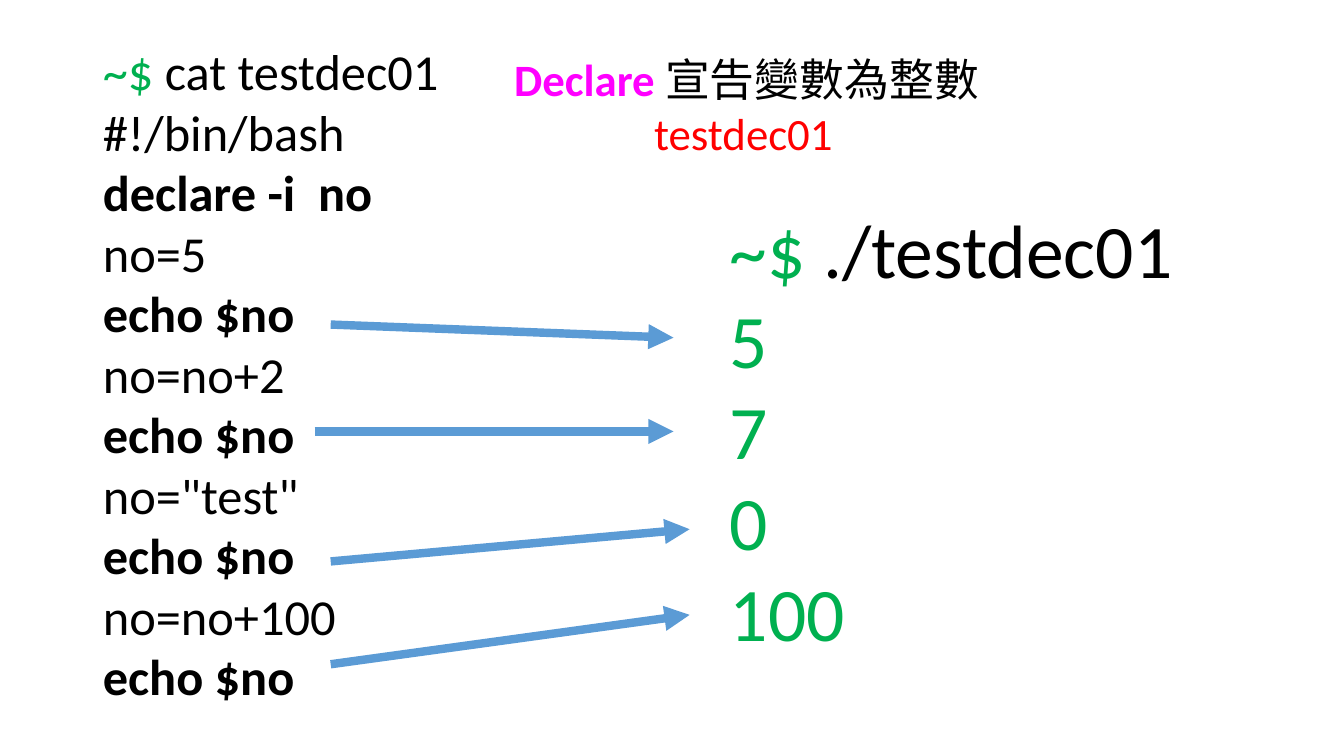
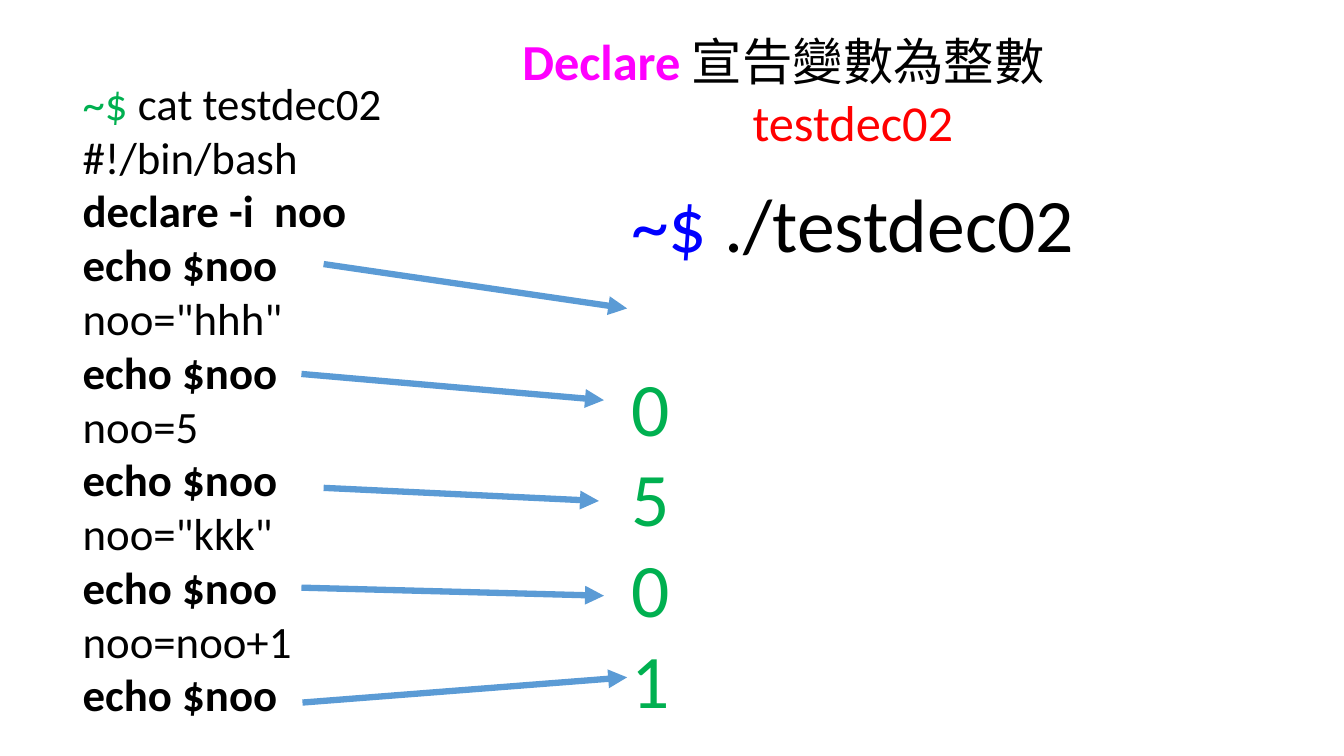
from lxml.etree import SubElement
from pptx import Presentation
from pptx.dml.color import RGBColor
from pptx.enum.shapes import MSO_CONNECTOR
from pptx.enum.text import PP_ALIGN
from pptx.oxml.ns import qn
from pptx.util import Pt

PX = 9144  # 100 px to the inch
FONT = "Calibri"
COLORS = {
    "keyword": "FF00FF",
    "name": "FF0000",
    "text": "000000",
    "green": "00B050",
    "blue": "0000FF",
    "arrow": "5B9BD5",
}


def add_text(page, area, paragraphs, size, centered=(), gaps=None):
    """Each paragraph is a list of (text, color, bold); gaps maps index to points above."""
    box = page.shapes.add_textbox(*(value * PX for value in area))
    frame = box.text_frame
    frame.word_wrap = True
    frame.margin_left = frame.margin_right = 4 * PX
    frame.margin_top = frame.margin_bottom = 4 * PX
    for index, spans in enumerate(paragraphs):
        para = frame.paragraphs[0] if index == 0 else frame.add_paragraph()
        para.alignment = PP_ALIGN.CENTER if index in centered else PP_ALIGN.LEFT
        para.space_before = Pt((gaps or {}).get(index, 0))
        for text, color, bold in spans:
            span = para.add_run()
            span.text = text
            span.font.name = FONT
            span.font.size = Pt(size)
            span.font.bold = bold
            span.font.color.rgb = RGBColor.from_string(COLORS[color])


def add_arrow(page, start, end, width):
    arrow = page.shapes.add_connector(
        MSO_CONNECTOR.STRAIGHT, *(value * PX for value in start + end))
    arrow.line.color.rgb = RGBColor.from_string(COLORS["arrow"])
    arrow.line.width = Pt(width)
    SubElement(arrow.line._get_or_add_ln(), qn("a:tailEnd"), type="triangle")
    SubElement(arrow._element.spPr, qn("a:effectLst"))


# Content of the two examples
examples = [
    {
        "script": "testdec01",
        "title_name": "testdec01 ",
        "title_area": (506, 47, 473, 115),
        "title_size": 32,
        "code_area": (98, 36, 344, 674),
        "code_size": 36,
        "code": ["#!/bin/bash", "declare -i  no", "no=5", "echo $no", "no=no+2",
                 "echo $no", 'no="test"', "echo $no", "no=no+100", "echo $no"],
        "result_area": (720, 197, 451, 462),
        "prompt_color": "green",
        "results": ["5", "7", "0", "100"],
        "gaps": {},
        "arrow_width": 6,
        "arrows": [((328, 322), (668, 335)), ((312, 428), (668, 428)),
                   ((328, 557), (684, 525)), ((328, 659), (684, 610))],
    },
    {
        "script": "testdec02",
        "title_name": "testdec02",
        "title_area": (514, 26, 664, 129),
        "title_size": 36,
        "code_area": (78, 71, 307, 654),
        "code_size": 32,
        "code": ["#!/bin/bash", "declare -i  noo", "echo $noo", 'noo="hhh"',
                 "echo $noo", "noo=5", "echo $noo", 'noo="kkk"', "echo $noo",
                 "noo=noo+1", "echo $noo"],
        "result_area": (622, 172, 451, 553),
        "prompt_color": "blue",
        "results": ["0", "5", "0", "1"],
        "gaps": {1: 66},  # the first echo prints an empty line
        "arrow_width": 4.5,
        "arrows": [((321, 262), (622, 306)), ((299, 371), (599, 397)),
                   ((321, 484), (594, 497)), ((299, 583), (599, 591)),
                   ((300, 697), (622, 672))],
    },
]

deck = Presentation()
deck.slide_width = 1333 * PX
deck.slide_height = 750 * PX

for example in examples:
    page = deck.slides.add_slide(deck.slide_layouts[6])

    # Title
    title = [
        [("Declare ", "keyword", True), ("宣告變數為整數", "text", False)],
        [(example["title_name"], "name", False)],
    ]
    add_text(page, example["title_area"], title, example["title_size"], centered=(1,))

    # Script listing: declare and echo lines are bold
    listing = [[("~$ ", "green", False), (f"cat {example['script']}", "text", False)]]
    for line in example["code"]:
        listing.append([(line, "text", line.startswith(("declare", "echo")))])
    add_text(page, example["code_area"], listing, example["code_size"])

    # Output of the script
    output = [[("~$ ", example["prompt_color"], False),
               (f"./{example['script']}", "text", False)]]
    output += [[(value, "green", False)] for value in example["results"]]
    add_text(page, example["result_area"], output, 54, gaps=example["gaps"])

    # Arrows from each echo to its result
    for start, end in example["arrows"]:
        add_arrow(page, start, end, example["arrow_width"])

deck.save("out.pptx")
